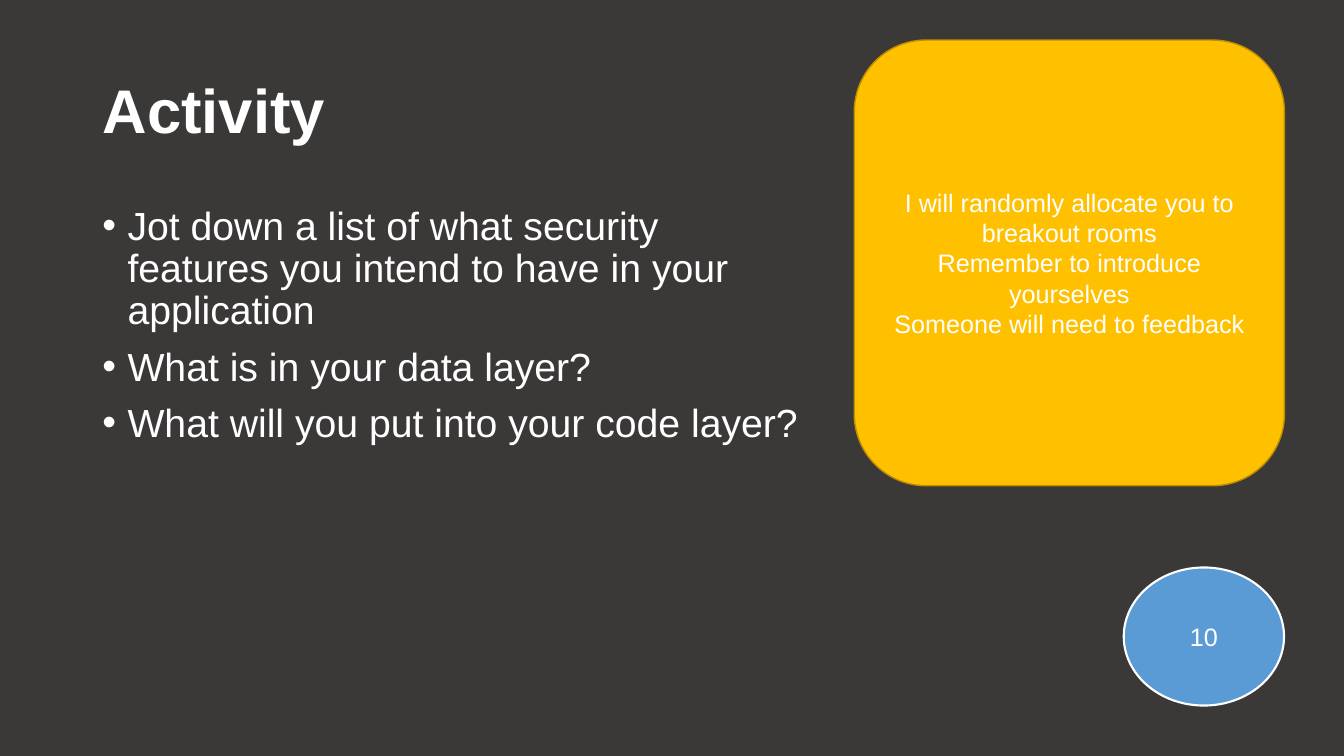
from dataclasses import dataclass

import pptx
import pptx.dml.color
import pptx.enum.shapes
import pptx.enum.text
import pptx.oxml
import pptx.oxml.ns
import pptx.slide
import pptx.text.text
import pptx.util
from pptx.util import Cm

Alignment = pptx.enum.text.PP_ALIGN
Anchor = pptx.enum.text.MSO_ANCHOR
ShapeKind = pptx.enum.shapes.MSO_SHAPE


@dataclass(frozen=True)
class Theme:
    font: str = "Arial"
    background: str = "3B3838"
    text: str = "FFFFFF"
    card: str = "FFC000"
    card_line: str = "BD8E00"
    badge: str = "5B9BD5"
    title_size: int = 44
    body_size: int = 28
    label_size: int = 18


@dataclass(frozen=True)
class Box:
    left: float
    top: float
    width: float
    height: float

    def lengths(self) -> tuple[Cm, Cm, Cm, Cm]:
        return Cm(self.left), Cm(self.top), Cm(self.width), Cm(self.height)


@dataclass(frozen=True)
class Panel:
    kind: ShapeKind
    box: Box
    fill: str
    line: str
    line_width: float
    lines: tuple[str, ...]


THEME = Theme()
TITLE_BOX = Box(2.33, 1.01, 29.21, 3.68)
BODY_BOX = Box(2.33, 5.07, 18.21, 10.16)
QUESTIONS = (
    "Jot down a list of what security features you intend to have in your application",
    "What is in your data layer?",
    "What will you put into your code layer?",
)
PANELS = (
    Panel(ShapeKind.OVAL, Box(28.32, 14.3, 4.04, 3.48), THEME.badge, THEME.text, 1.5, ("10",)),
    Panel(
        ShapeKind.ROUNDED_RECTANGLE,
        Box(21.53, 1.01, 10.84, 11.23),
        THEME.card,
        THEME.card_line,
        1,
        (
            "I will randomly allocate you to breakout rooms",
            "Remember to introduce yourselves",
            "Someone will need to feedback",
        ),
    ),
)


def colour(value: str) -> pptx.dml.color.RGBColor:
    return pptx.dml.color.RGBColor.from_string(value)


def write_lines(
    frame: pptx.text.text.TextFrame,
    lines: tuple[str, ...],
    size: int,
    alignment: Alignment,
    bold: bool = False,
) -> None:
    frame.word_wrap = True
    for index, line in enumerate(lines):
        paragraph = frame.add_paragraph() if index else frame.paragraphs[0]
        paragraph.alignment = alignment
        run = paragraph.add_run()
        run.text = line
        run.font.name = THEME.font
        run.font.size = pptx.util.Pt(size)
        run.font.bold = bold
        run.font.color.rgb = colour(THEME.text)


def add_bullet(paragraph: pptx.text.text._Paragraph) -> None:
    properties = paragraph._p.get_or_add_pPr()
    indent = Cm(0.635)
    properties.set("marL", str(indent))
    properties.set("indent", str(-indent))
    namespace = pptx.oxml.ns.nsdecls("a")
    properties.append(pptx.oxml.parse_xml(f'<a:buFont {namespace} typeface="{THEME.font}"/>'))
    properties.append(pptx.oxml.parse_xml(f'<a:buChar {namespace} char="•"/>'))


def add_title(slide: pptx.slide.Slide, text: str) -> None:
    title = slide.shapes.title
    title.left, title.top, title.width, title.height = TITLE_BOX.lengths()
    frame = title.text_frame
    frame.vertical_anchor = Anchor.MIDDLE
    write_lines(frame, (text,), THEME.title_size, Alignment.LEFT, bold=True)
    frame.paragraphs[0].line_spacing = 0.9


def add_questions(slide: pptx.slide.Slide) -> None:
    frame = slide.shapes.add_textbox(*BODY_BOX.lengths()).text_frame
    write_lines(frame, QUESTIONS, THEME.body_size, Alignment.LEFT)
    for index, paragraph in enumerate(frame.paragraphs):
        add_bullet(paragraph)
        paragraph.line_spacing = 0.9
        paragraph.space_before = pptx.util.Pt(10 if index else 0)


def add_panel(slide: pptx.slide.Slide, panel: Panel) -> None:
    shape = slide.shapes.add_shape(panel.kind, *panel.box.lengths())
    shape.shadow.inherit = False
    shape.fill.solid()
    shape.fill.fore_color.rgb = colour(panel.fill)
    shape.line.color.rgb = colour(panel.line)
    shape.line.width = pptx.util.Pt(panel.line_width)
    shape.text_frame.vertical_anchor = Anchor.MIDDLE
    write_lines(shape.text_frame, panel.lines, THEME.label_size, Alignment.CENTER)


def main() -> None:
    presentation = pptx.Presentation()
    presentation.slide_width = Cm(33.87)
    presentation.slide_height = Cm(19.05)
    slide = presentation.slides.add_slide(presentation.slide_layouts.get_by_name("Title Only"))
    slide.background.fill.solid()
    slide.background.fill.fore_color.rgb = colour(THEME.background)
    add_title(slide, "Activity")
    add_questions(slide)
    for panel in PANELS:
        add_panel(slide, panel)
    presentation.save("out.pptx")


if __name__ == "__main__":
    main()
